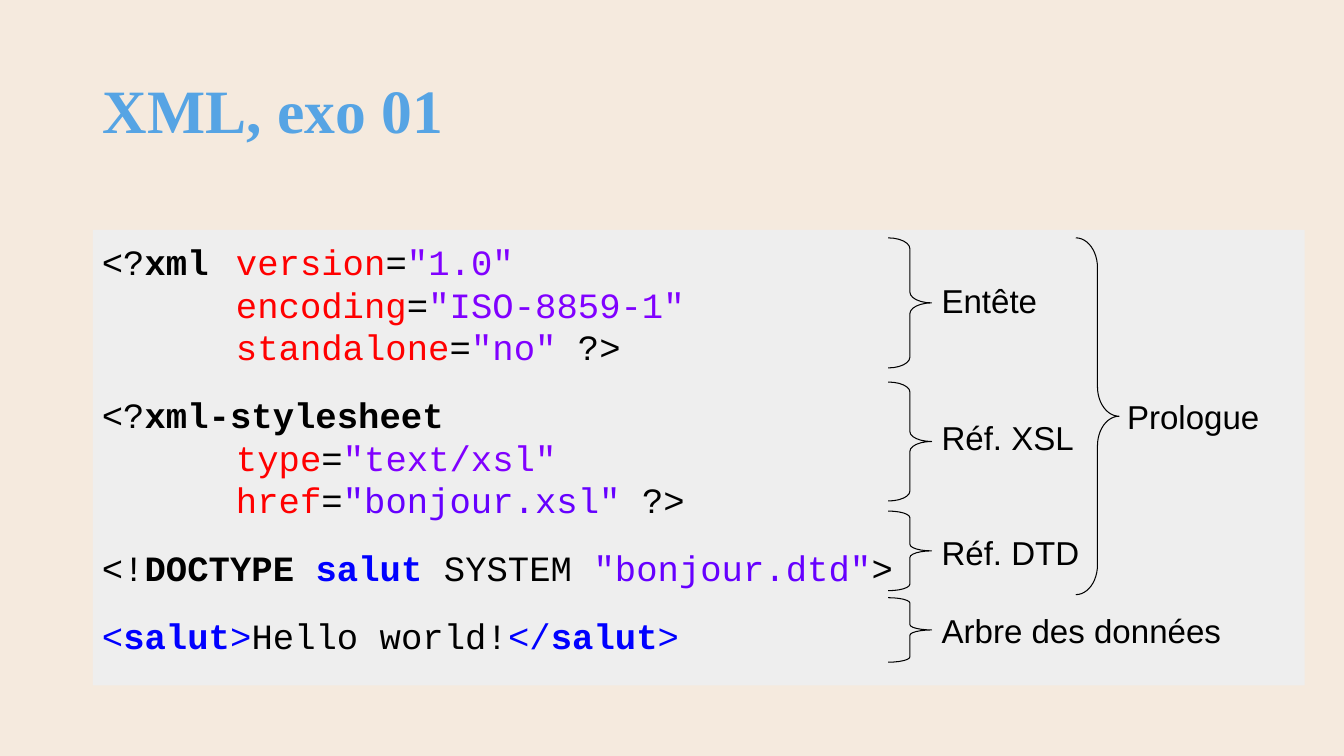
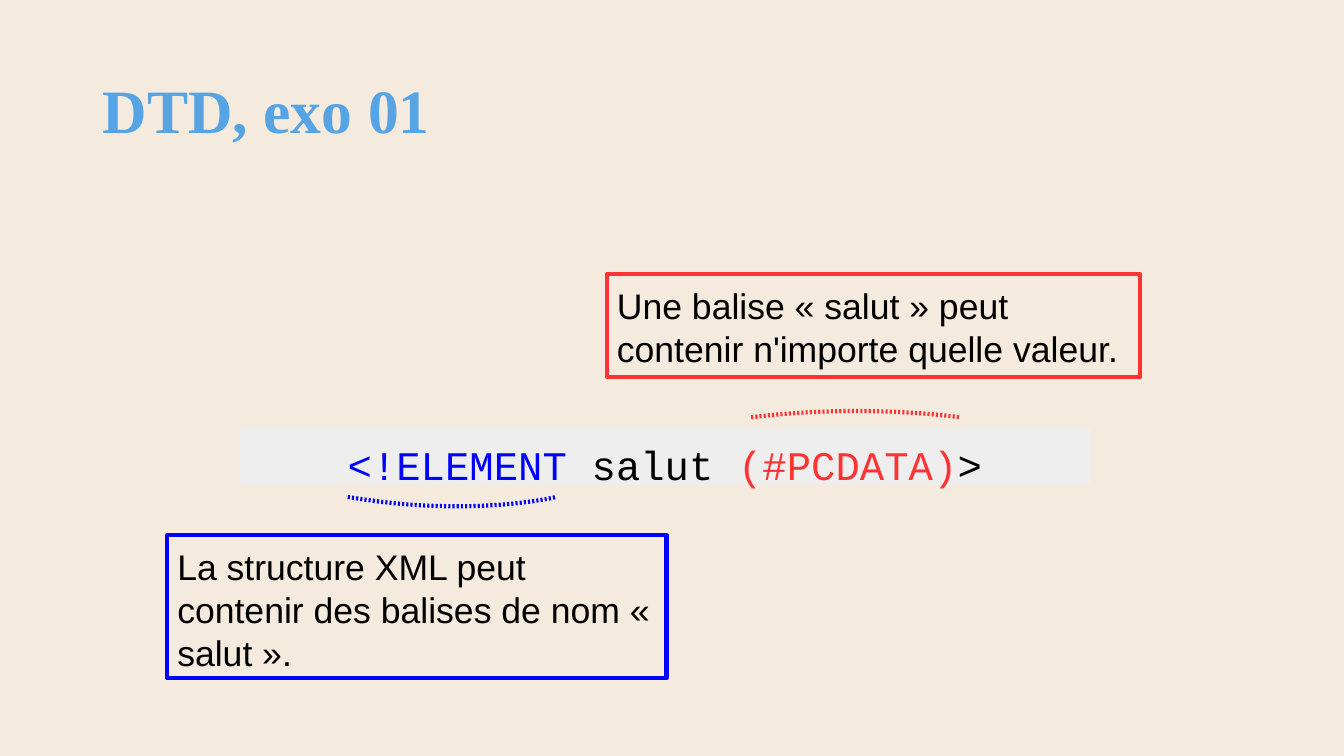
import pptx
import pptx.util
import pptx.dml.color
import pptx.enum.shapes
import pptx.enum.text
import pptx.oxml.ns
from dataclasses import dataclass
from lxml import etree

PX = 9144  # EMU, so that 100 px make one inch
Pt = pptx.util.Pt
SHAPE = pptx.enum.shapes.MSO_SHAPE
ALIGN = pptx.enum.text.PP_ALIGN
ANCHOR = pptx.enum.text.MSO_ANCHOR


@dataclass(frozen=True)
class Theme:
    back: str = "F5EADE"
    head: str = "56A4E4"
    panel: str = "EEEEEE"
    ink: str = "000000"
    attr: str = "FF0000"
    value: str = "8000FF"
    file: str = "6600FF"
    blue: str = "0000FF"
    red: str = "FF3333"
    sans: str = "Arial"
    mono: str = "Courier New"
    serif: str = "Times New Roman"
    head_size: float = 44
    body_size: float = 25.4
    code_size: float = 29
    label_size: float = 23.6
    lead: float = 1.2
    stroke: float = 3


T = Theme()
SIZE = (1333, 750)
TITLE_BOX = (92, 74, 1150, 77)

# Each paragraph is a list of runs: (text, colour, bold)
XML_BOX = (92, 228, 1202, 452)
XML_TAB = 133
XML_CODE = [
    [("<?", T.ink, False), ("xml\t", T.ink, True),
     ("version", T.attr, False), ("=", T.ink, False), ('"1.0"\n\t', T.value, False),
     ("encoding", T.attr, False), ("=", T.ink, False), ('"ISO-8859-1"\n\t', T.value, False),
     ("standalone", T.attr, False), ("=", T.ink, False), ('"no"', T.value, False),
     (" ?>", T.ink, False)],
    [("<?", T.ink, False), ("xml-stylesheet\n\t", T.ink, True),
     ("type", T.attr, False), ("=", T.ink, False), ('"text/xsl"\n\t', T.value, False),
     ("href", T.attr, False), ("=", T.ink, False), ('"bonjour.xsl"', T.file, False),
     (" ?>", T.ink, False)],
    [("<!", T.ink, False), ("DOCTYPE ", T.ink, True), ("salut", T.blue, True),
     (" SYSTEM ", T.ink, False), ('"bonjour.dtd"', T.file, False), (">", T.ink, False)],
    [("<", T.blue, False), ("salut", T.blue, True), (">", T.blue, False),
     ("Hello world!", T.ink, False),
     ("</", T.blue, False), ("salut", T.blue, True), (">", T.blue, False)],
]

# Brace left, top and height, then label text, left, top and width
BRACE_WIDTH, LABEL_HEIGHT = 43, 58
BRACES = [
    (881, 236, 129, "Entête", 924, 268, 117),
    (881, 379, 118, "Réf. XSL", 924, 404, 154),
    (881, 507, 79, "Réf. DTD", 924, 518, 160),
    (881, 593, 64, "Arbre des données", 924, 596, 301),
    (1067, 236, 354, "Prologue", 1108, 383, 154),
]

DTD_BOX = (238, 425, 843, 55)
DTD_CODE = [[("<!ELEMENT", T.blue, False), (" salut ", T.ink, False),
             ("(#PCDATA)", T.red, False), (">", T.ink, False)]]
# Text, colour, box
NOTES = [
    ("La structure XML peut contenir des balises de nom « salut ».",
     T.blue, (166, 531, 495, 142)),
    ("Une balise « salut » peut contenir n'importe quelle valeur.",
     T.red, (602, 272, 529, 102)),
]
# Start, pull point, end, colour
ARCS = [
    ((345, 493), (467, 514), (552, 493), T.blue),
    ((745, 414), (859, 400), (952, 414), T.red),
]
ARC_STEPS = 24


def rgb(code):
    return pptx.dml.color.RGBColor.from_string(code)


def emu(box):
    return [side * PX for side in box]


def add_node(parent, tag, **attrs):
    return etree.SubElement(parent, pptx.oxml.ns.qn(tag), attrs)


def write(frame, paras, font, size, pads=(10, 10, 10, 10), wrap=True,
          align=ALIGN.LEFT, anchor=ANCHOR.TOP, after=0, lead=None, tab=None):
    """Fill a text frame; pads are left, top, right, bottom in px."""
    frame.word_wrap = wrap
    frame.auto_size = pptx.enum.text.MSO_AUTO_SIZE.NONE
    frame.vertical_anchor = anchor
    (frame.margin_left, frame.margin_top,
     frame.margin_right, frame.margin_bottom) = emu(pads)
    for i, runs in enumerate(paras):
        para = frame.add_paragraph() if i else frame.paragraphs[0]
        para.alignment = align
        para.line_spacing = lead or Pt(size * T.lead)
        para.space_before, para.space_after = Pt(0), Pt(after)
        if tab:
            stops = add_node(para._p.get_or_add_pPr(), "a:tabLst")
            add_node(stops, "a:tab", pos=str(tab * PX), algn="l")
        for text, color, bold in runs:
            for j, part in enumerate(text.split("\n")):
                if j:
                    para.add_line_break()
                run = para.add_run()
                run.text = part
                run.font.name, run.font.size, run.font.bold = font, Pt(size), bold
                run.font.color.rgb = rgb(color)


def paint(shape, fill=None, line=None, width=0):
    shape.shadow.inherit = False
    if fill:
        shape.fill.solid()
        shape.fill.fore_color.rgb = rgb(fill)
    else:
        shape.fill.background()
    if line:
        shape.line.color.rgb = rgb(line)
        shape.line.width = Pt(width)
    else:
        shape.line.fill.background()
    return shape


def add_box(slide, box, **look):
    return paint(slide.shapes.add_shape(SHAPE.RECTANGLE, *emu(box)), **look)


def add_brace(slide, left, top, height):
    box = (left, top, BRACE_WIDTH, height)
    brace = slide.shapes.add_shape(SHAPE.RIGHT_BRACE, *emu(box))
    brace.adjustments[0] = height / 12 / min(BRACE_WIDTH, height)
    paint(brace, line=T.ink)


def add_arc(slide, start, pull, end, color):
    """Draw a dotted cubic curve whose second control point is its end."""
    def point(t):
        return [((1 - t) ** 3 * a + 3 * t * (1 - t) ** 2 * b
                 + (3 * t * t * (1 - t) + t ** 3) * c) * PX
                for a, b, c in zip(start, pull, end)]

    pen = slide.shapes.build_freeform(*emu(start), scale=1.0)
    pen.add_line_segments([point(i / ARC_STEPS) for i in range(1, ARC_STEPS + 1)],
                          close=False)
    arc = paint(pen.convert_to_shape(), line=color, width=T.stroke)
    dash = add_node(arc.line._get_or_add_ln(), "a:custDash")
    add_node(dash, "a:ds", d="50000", sp="50000")


def add_slide(deck, title):
    slide = deck.slides.add_slide(deck.slide_layouts[5])
    head = slide.shapes.title
    head.left, head.top, head.width, head.height = emu(TITLE_BOX)
    write(head.text_frame, [[(title, T.head, True)]], T.serif, T.head_size,
          pads=(10, 5, 10, 5), anchor=ANCHOR.MIDDLE, lead=0.9)
    return slide


def build_xml(deck):
    slide = add_slide(deck, "XML, exo 01")
    panel = add_box(slide, XML_BOX, fill=T.panel)
    write(panel.text_frame, XML_CODE, T.mono, T.body_size,
          pads=(9, 10, 9, 4), after=18, tab=XML_TAB)
    for left, top, height, text, *place, width in BRACES:
        add_brace(slide, left, top, height)
        label = slide.shapes.add_textbox(*emu((*place, width, LABEL_HEIGHT)))
        write(label.text_frame, [[(text, T.ink, False)]], T.sans, T.label_size,
              wrap=False)


def build_dtd(deck):
    slide = add_slide(deck, "DTD, exo 01")
    panel = add_box(slide, DTD_BOX, fill=T.panel)
    write(panel.text_frame, DTD_CODE, T.mono, T.code_size,
          pads=(9, 11, 9, 0), align=ALIGN.CENTER)
    for text, color, box in NOTES:
        note = add_box(slide, box, line=color, width=T.stroke)
        add_node(note.line._get_or_add_ln(), "a:round")
        write(note.text_frame, [[(text, T.ink, False)]], T.sans, T.body_size)
    for arc in ARCS:
        add_arc(slide, *arc)


def main():
    deck = pptx.Presentation()
    deck.slide_width, deck.slide_height = emu(SIZE)
    back = deck.slide_master.background.fill
    back.solid()
    back.fore_color.rgb = rgb(T.back)
    build_xml(deck)
    build_dtd(deck)
    deck.save("out.pptx")


if __name__ == "__main__":
    main()
